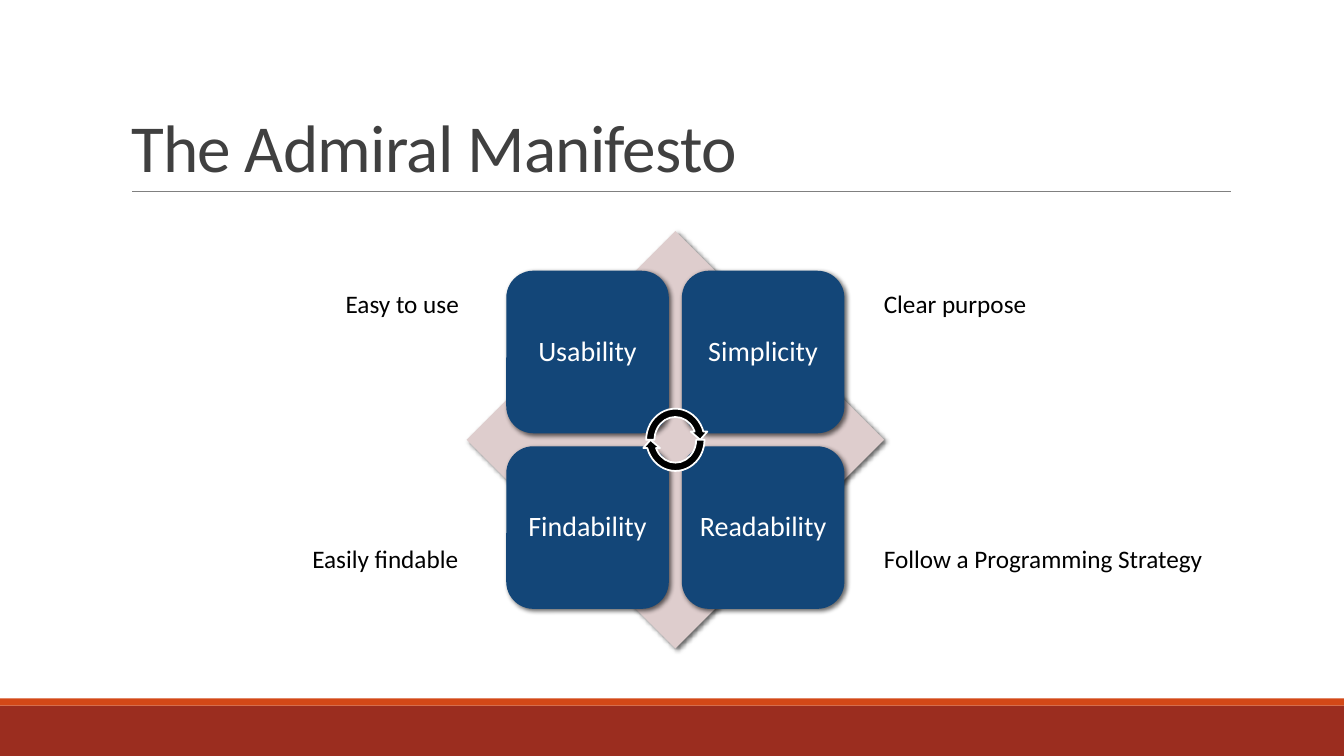
from itertools import product

from lxml import etree
from pptx import Presentation
from pptx import util as u
from pptx.dml.color import RGBColor
from pptx.enum import shapes, text
from pptx.oxml.ns import qn

COLORS = {
    "brick": "9B2D1F", "orange": "D34817", "rule": "808080", "title": "404040",
    "diamond": "DECDCD", "tile": "134678", "white": "FFFFFF", "black": "000000",
}
FONT = "Calibri"
COLUMNS, ROWS = 160, 90
TITLE_ONLY = 5
KIND = shapes.MSO_SHAPE


def rgb(name):
    return RGBColor.from_string(COLORS[name])


class SlideBuilder:
    """Draws on one slide, with places given in grid columns and rows."""

    def __init__(self, deck):
        self.column = deck.slide_width / COLUMNS
        self.row = deck.slide_height / ROWS
        self.slide = deck.slides.add_slide(deck.slide_layouts[TITLE_ONLY])

    def place(self, left, top, width, height):
        return [round(n) for n in (left * self.column, top * self.row,
                                   width * self.column, height * self.row)]

    def add_span(self, para, words, size, color):
        span = para.add_run()
        span.text = words
        span.font.name = FONT
        span.font.size = u.Pt(size)
        span.font.color.rgb = rgb(color)
        return span

    def title(self, words, *area):
        box = self.slide.shapes.title
        box.left, box.top, box.width, box.height = self.place(*area)
        frame = box.text_frame
        frame.auto_size = text.MSO_AUTO_SIZE.NONE
        frame.vertical_anchor = text.MSO_ANCHOR.BOTTOM
        para = frame.paragraphs[0]
        para.alignment = text.PP_ALIGN.LEFT
        para.line_spacing = 0.85
        span = self.add_span(para, words, 48, "title")
        span.font._element.set("spc", "-50")

    def rule(self, left, right, top):
        x1, y, x2, _ = self.place(left, top, right, 0)
        line = self.slide.shapes.add_connector(
            shapes.MSO_CONNECTOR.STRAIGHT, x1, y, x2, y)
        line.line.color.rgb = rgb("rule")
        line.line.width = u.Pt(0.5)
        etree.SubElement(line._element.spPr, qn("a:effectLst"))

    def shape(self, kind, color, *area, outline=None):
        shape = self.slide.shapes.add_shape(kind, *self.place(*area))
        shape.fill.solid()
        shape.fill.fore_color.rgb = rgb(color)
        if outline:
            shape.line.color.rgb = rgb(outline)
            shape.line.width = u.Pt(1.25)
        else:
            shape.line.fill.background()
        shape.shadow.inherit = False
        return shape

    def cast_shadow(self, shape, blur):
        effects = shape._element.spPr.find(qn("a:effectLst"))
        shadow = etree.SubElement(
            effects, qn("a:outerShdw"), blurRad=str(u.Pt(blur)),
            dist=str(u.Pt(2)), dir="2700000", rotWithShape="0")
        color = etree.SubElement(shadow, qn("a:srgbClr"), val=COLORS["black"])
        etree.SubElement(color, qn("a:alpha"), val="60000")

    def tile(self, words, *area):
        tile = self.shape(KIND.ROUNDED_RECTANGLE, "tile", *area)
        self.cast_shadow(tile, 3.5)
        frame = tile.text_frame
        frame.word_wrap = False
        frame.vertical_anchor = text.MSO_ANCHOR.MIDDLE
        para = frame.paragraphs[0]
        para.alignment = text.PP_ALIGN.CENTER
        para.line_spacing = 0.9
        self.add_span(para, words, 20, "white")

    def label(self, words, *area):
        box = self.slide.shapes.add_textbox(*self.place(*area))
        box.text_frame.word_wrap = True
        self.add_span(box.text_frame.paragraphs[0], words, 18, "black")


def main():
    deck = Presentation()
    deck.slide_width, deck.slide_height = u.Inches(13.333), u.Inches(7.5)
    page = SlideBuilder(deck)

    page.shape(KIND.RECTANGLE, "brick", 0, 84, COLUMNS, 6)
    page.shape(KIND.RECTANGLE, "orange", 0, 83.16, COLUMNS, 0.84)
    page.rule(15.72, 146.5, 22.8)
    page.title("The Admiral Manifesto", 14.4, 3.72, 132, 19.08)

    center_x, center_y = 80.4, 52.36
    side = 49.7
    diamond = page.shape(KIND.DIAMOND, "diamond", center_x - side / 2,
                         center_y - side / 2, side, side)
    page.cast_shadow(diamond, 3)

    tile, gap = 19.35, 1.55
    names = ["Usability", "Simplicity", "Findability", "Readability"]
    for name, (down, across) in zip(names, product((0, 1), repeat=2)):
        page.tile(name,
                  center_x - tile - gap / 2 + across * (tile + gap),
                  center_y - tile - gap / 2 + down * (tile + gap), tile, tile)

    width, height = 7.92, 8.4
    for turn in (0, 180):
        arrow = page.shape(KIND.CIRCULAR_ARROW, "black", center_x - width / 2,
                           center_y - height / 2, width, height, outline="white")
        arrow.rotation = turn

    upper, lower, right = 33.72, 64.08, 104.04
    for words, left, top, width in [
        ("Easy to use", 39.96, upper, 16.92),
        ("Clear purpose", right, upper, 23.16),
        ("Easily findable", 36, lower, 19.92),
        ("Follow a Programming Strategy", right, lower, 42.36),
    ]:
        page.label(words, left, top, width, 4.8)

    deck.save("out.pptx")


if __name__ == "__main__":
    main()
